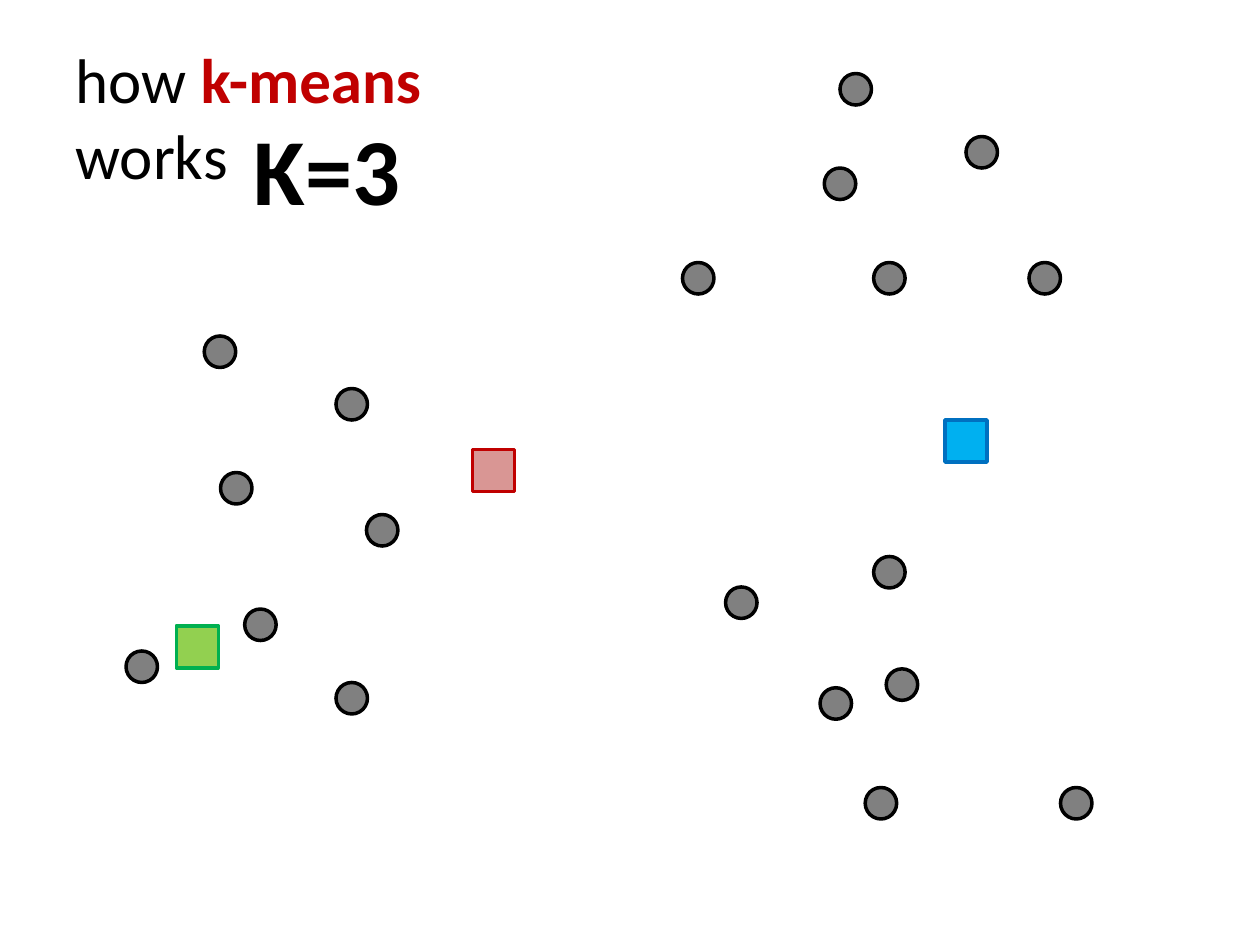
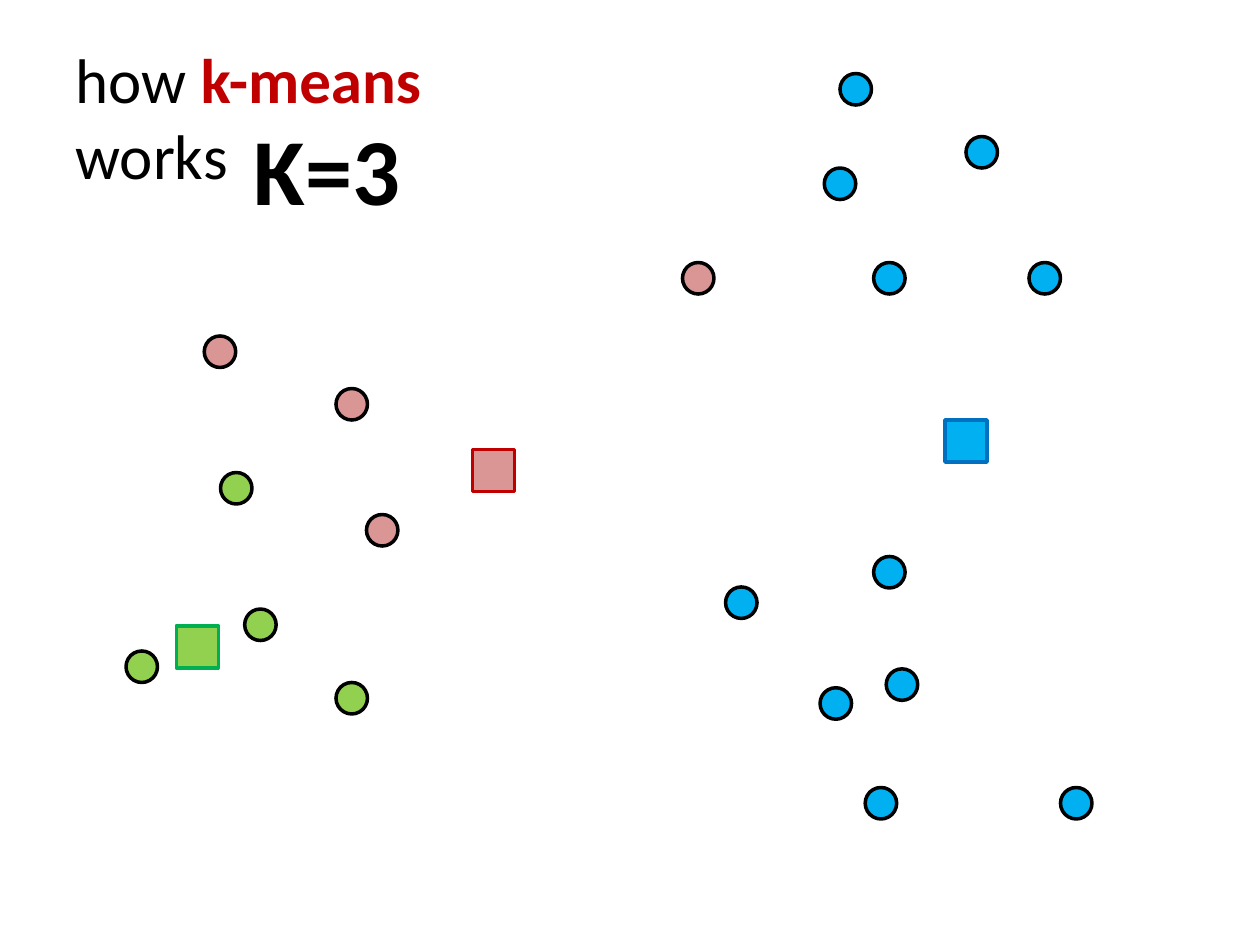
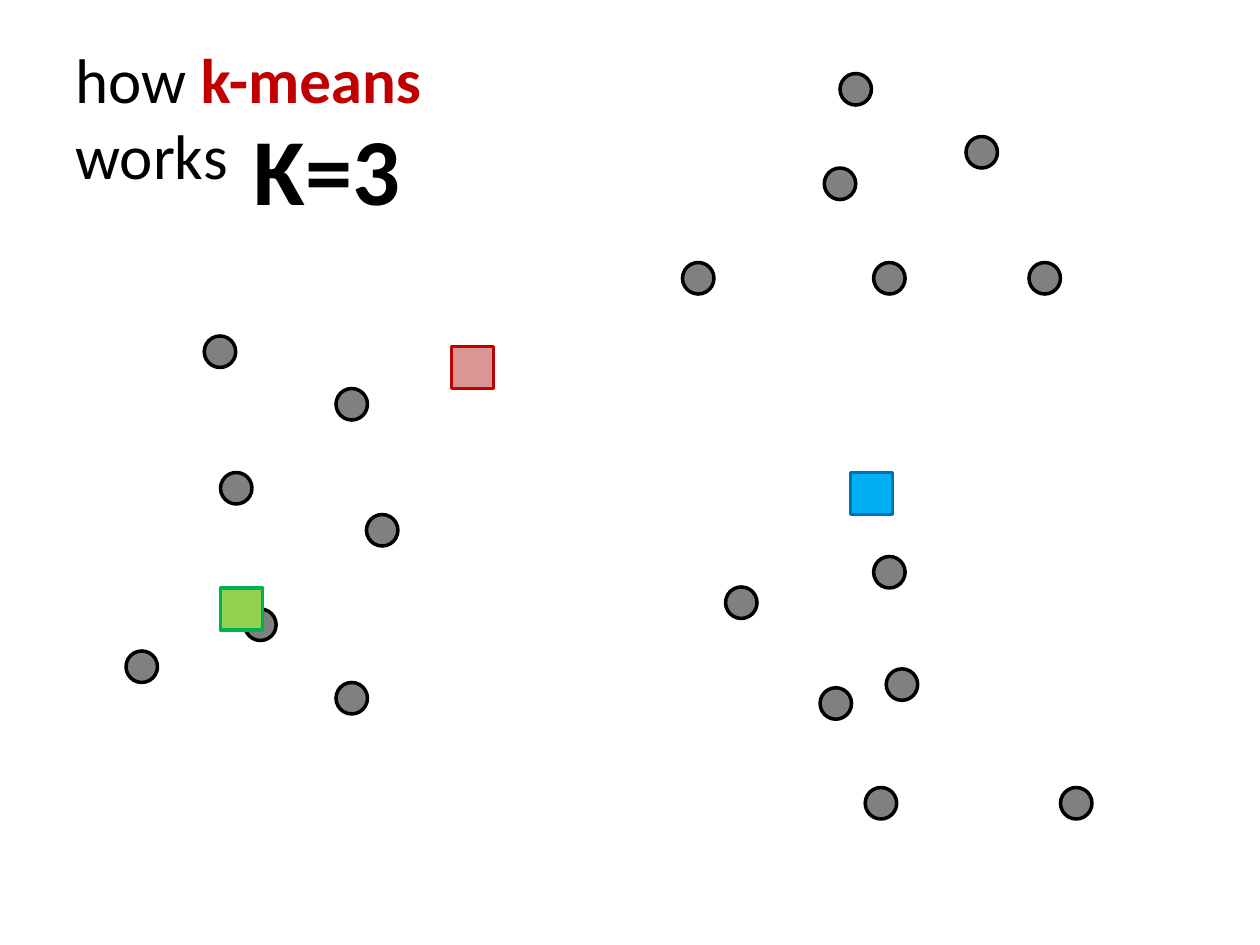
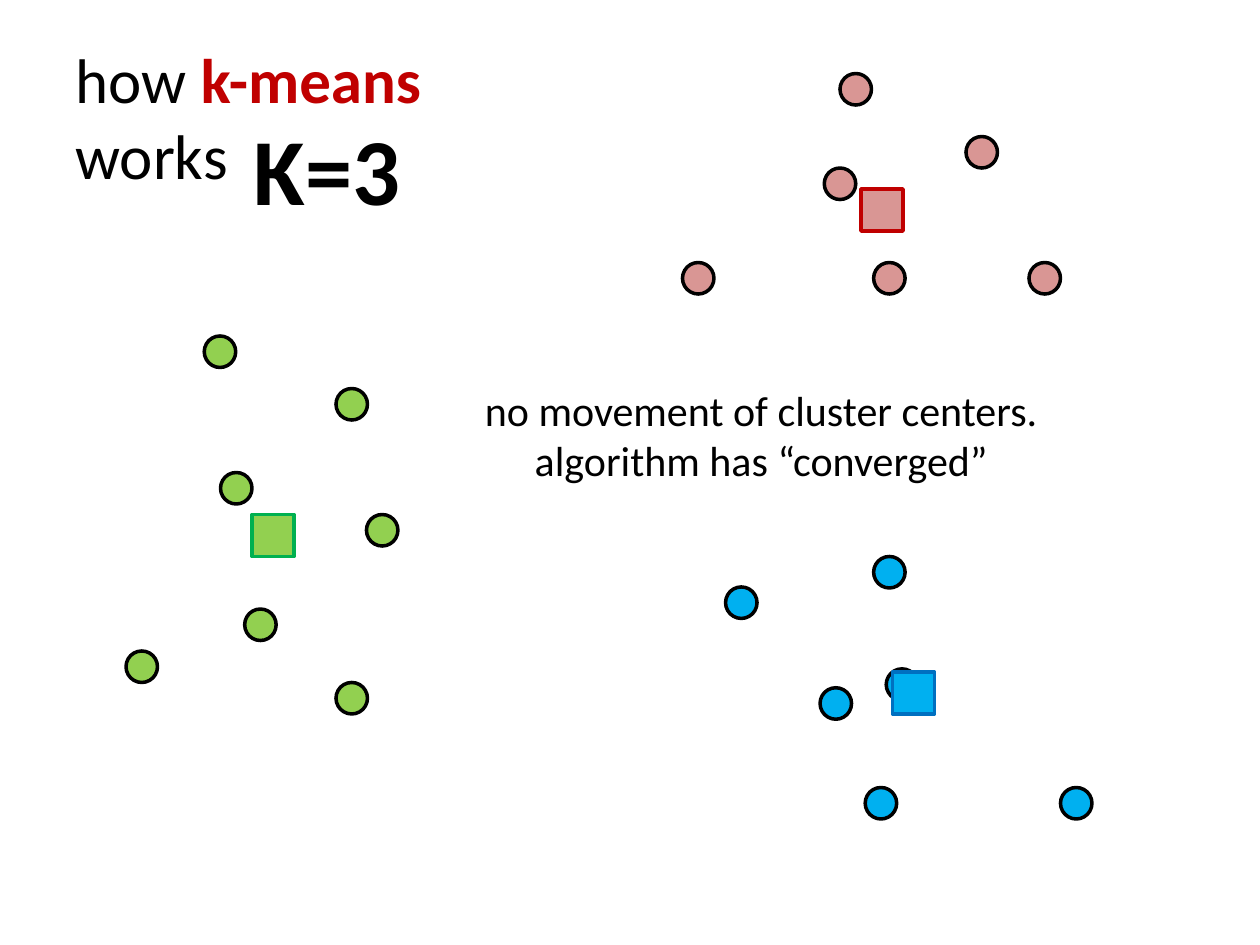
"""Build four slides that show how k-means moves three cluster centers."""
from pptx import Presentation
from pptx.dml.color import RGBColor
from pptx.enum.shapes import MSO_SHAPE
from pptx.enum.text import MSO_ANCHOR, PP_ALIGN
from pptx.util import Inches, Pt

deck = Presentation()
deck.slide_width = Inches(10)
deck.slide_height = Inches(7.5)
column = deck.slide_width / 120
row = deck.slide_height / 90

FONT = "Calibri"
BLACK = "000000"
ACCENT = "C00000"
FILLS = {"gray": "808080", "red": "D99694", "green": "92D050", "blue": "00B0F0"}
OUTLINES = {"red": ACCENT, "green": "00B050", "blue": "0070C0"}
POINT_SIZE = 3
CENTER_SIZE = 4

LEFT_POINTS = [(21, 45), (32, 37), (34.9, 49), (23.3, 58), (32, 65), (12, 62), (19.45, 32)]
UPPER_POINTS = [(92, 13), (98, 25), (80, 7), (83.2, 25), (78.5, 16), (65, 25)]
LOWER_POINTS = [(83.2, 53), (101, 75), (82.4, 75), (84.4, 63.7), (78.1, 65.5), (69.1, 55.9)]
POINTS = LEFT_POINTS + UPPER_POINTS + LOWER_POINTS

unassigned = ["gray"] * len(POINTS)
first_assignment = (
    ["green", "red", "red", "green", "green", "green", "red"]
    + ["blue"] * 5 + ["red"] + ["blue"] * len(LOWER_POINTS)
)
final_assignment = (
    ["green"] * len(LEFT_POINTS) + ["red"] * len(UPPER_POINTS) + ["blue"] * len(LOWER_POINTS)
)

start_centers = {"blue": (90, 40), "red": (45, 42.8), "green": (16.8, 59.6)}
moved_centers = {"red": (43, 33), "green": (21, 56), "blue": (81, 45)}
final_centers = {"green": (24, 49), "blue": (85, 64), "red": (82, 18)}

TITLE = [[("how ", BLACK, False), ("k-means ", ACCENT, True), ("\n", BLACK, False),
          ("works", BLACK, False)]]
CLUSTER_COUNT = [[("K=3", BLACK, True)]]
CONCLUSION = [[("no movement of cluster centers.", BLACK, False)],
              [("algorithm has “converged”", BLACK, False)]]

steps = [
    (unassigned, start_centers, None),
    (first_assignment, start_centers, None),
    (unassigned, moved_centers, None),
    (final_assignment, final_centers, CONCLUSION),
]


def add_marker(page, preset, place, size, fill, outline):
    left, top = place
    marker = page.shapes.add_shape(
        preset, int(left * column), int(top * row), int(size * column), int(size * row))
    marker.shadow.inherit = False
    marker.fill.solid()
    marker.fill.fore_color.rgb = RGBColor.from_string(fill)
    marker.line.color.rgb = RGBColor.from_string(outline)
    marker.line.width = Pt(2)


def add_text(page, area, lines, size, align=PP_ALIGN.LEFT, anchor=MSO_ANCHOR.TOP):
    left, top, width, height = area
    box = page.shapes.add_textbox(
        int(left * column), int(top * row), int(width * column), int(height * row))
    frame = box.text_frame
    frame.word_wrap = True
    frame.vertical_anchor = anchor
    for index, spans in enumerate(lines):
        para = frame.add_paragraph() if index else frame.paragraphs[0]
        para.alignment = align
        para.font.size = Pt(size)
        for words, color, bold in spans:
            if words == "\n":
                para.add_line_break()
                continue
            span = para.add_run()
            span.text = words
            span.font.name = FONT
            span.font.size = Pt(size)
            span.font.bold = bold
            span.font.color.rgb = RGBColor.from_string(color)


for assignment, centers, conclusion in steps:
    page = deck.slides.add_slide(deck.slide_layouts[6])
    add_text(page, (6, 3.6, 108, 15), TITLE, 36, anchor=MSO_ANCHOR.MIDDLE)
    for place, cluster in zip(POINTS, assignment):
        add_marker(page, MSO_SHAPE.OVAL, place, POINT_SIZE, FILLS[cluster], BLACK)
    add_text(page, (23, 10, 44.3, 12.1), CLUSTER_COUNT, 54)
    for cluster, place in centers.items():
        add_marker(page, MSO_SHAPE.RECTANGLE, place, CENTER_SIZE,
                   FILLS[cluster], OUTLINES[cluster])
    if conclusion:
        add_text(page, (42.5, 36, 60, 10.9), conclusion, 24, align=PP_ALIGN.CENTER)

deck.save("out.pptx")
